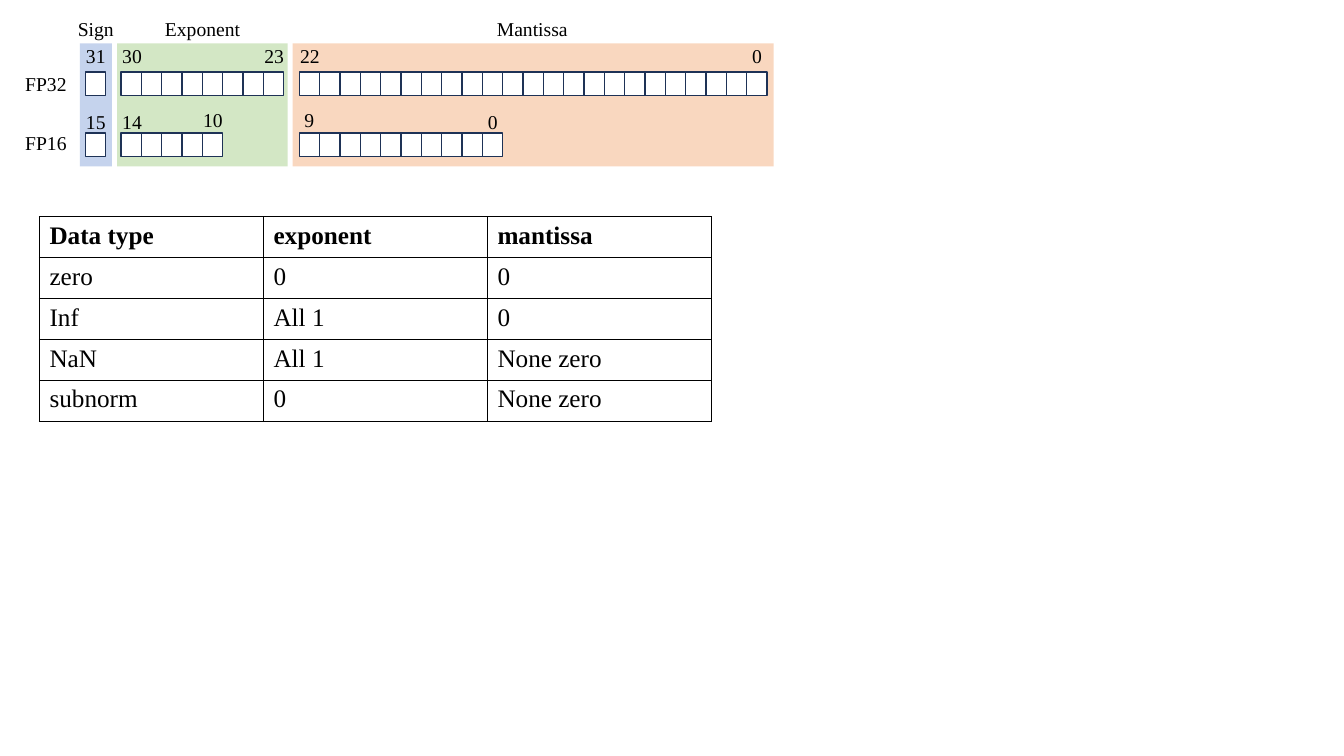
from dataclasses import dataclass

import pptx
import pptx.dml.color
import pptx.enum.shapes
import pptx.enum.text
import pptx.oxml
import pptx.oxml.ns
import pptx.util

Pt = pptx.util.Pt
RGBColor = pptx.dml.color.RGBColor

BLACK = RGBColor(0x00, 0x00, 0x00)
WHITE = RGBColor(0xFF, 0xFF, 0xFF)
NAVY = RGBColor(0x1E, 0x32, 0x56)
ORANGE = RGBColor(0xF4, 0xB1, 0x83)
GREEN = RGBColor(0xA9, 0xD1, 0x8E)
BLUE = RGBColor(0x8F, 0xAA, 0xDC)

FONT = "Times New Roman"
PITCH = 14.53  # distance from one bit box to the next
BIT_W, BIT_H = 14.5, 16.8
BAND_TOP, BAND_H = 31, 87.8


@dataclass
class Band:
    left: float
    width: float
    color: RGBColor


@dataclass
class Bits:
    left: float
    top: float
    count: int


@dataclass
class Label:
    text: str
    left: float
    top: float
    width: float = 31.7


BANDS = [
    Band(209, 343.6, ORANGE),
    Band(83.6, 121.8, GREEN),
    Band(57, 23, BLUE),
]

FIELDS = [
    Bits(61.1, 51.5, 1),
    Bits(86.5, 51.5, 8),
    Bits(213.8, 51.4, 23),
    Bits(61.1, 95, 1),
    Bits(86.5, 95, 5),
    Bits(213.8, 95, 10),
]

LABELS = [
    Label("Sign", 47.5, 11.8, 41.8),
    Label("Exponent", 109.4, 12.4, 70.6),
    Label("Mantissa", 344.9, 12.4, 70.6),
    Label("FP32", 9.4, 51.2, 46.8),
    Label("FP16", 9.4, 93.8, 46.8),
    Label("31", 52.6, 31.5),
    Label("30", 78.5, 31),
    Label("23", 180, 31),
    Label("22", 205.5, 31),
    Label("0", 533.5, 31, 14.5),
    Label("15", 52.6, 78.6),
    Label("14", 78.5, 78.6),
    Label("10", 136.2, 77.2),
    Label("9", 205.2, 77.2),
    Label("0", 336.2, 78.6),
]

ROWS = [
    ["Data type", "exponent", "mantissa"],
    ["zero", "0", "0"],
    ["Inf", "All 1", "0"],
    ["NaN", "All 1", "None zero"],
    ["subnorm", "0", "None zero"],
]


def add_rect(slide, left: float, top: float, width: float, height: float,
             color: RGBColor):
    rect = slide.shapes.add_shape(
        pptx.enum.shapes.MSO_SHAPE.RECTANGLE,
        Pt(left), Pt(top), Pt(width), Pt(height))
    rect.shadow.inherit = False
    rect.fill.solid()
    rect.fill.fore_color.rgb = color
    return rect


def add_band(slide, band: Band) -> None:
    rect = add_rect(slide, band.left, BAND_TOP, band.width, BAND_H, band.color)
    rect.line.fill.background()
    color = rect.fill._xPr.find(".//" + pptx.oxml.ns.qn("a:srgbClr"))
    color.append(pptx.oxml.parse_xml(
        f'<a:alpha {pptx.oxml.ns.nsdecls("a")} val="51000"/>'))


def add_bits(slide, bits: Bits) -> None:
    for index in range(bits.count):
        left = bits.left + index * PITCH
        box = add_rect(slide, left, bits.top, BIT_W, BIT_H, WHITE)
        box.line.color.rgb = NAVY
        box.line.width = Pt(1)


def add_run(para, text: str, size: float, bold: bool = False) -> None:
    run = para.add_run()
    run.text = text
    run.font.name = FONT
    run.font.size = Pt(size)
    run.font.bold = bold
    run.font.color.rgb = BLACK


def add_label(slide, label: Label) -> None:
    box = slide.shapes.add_textbox(
        Pt(label.left), Pt(label.top), Pt(label.width), Pt(BIT_H))
    frame = box.text_frame
    frame.margin_left = frame.margin_right = 0
    frame.margin_top = frame.margin_bottom = 0
    frame.word_wrap = True
    frame.vertical_anchor = pptx.enum.text.MSO_ANCHOR.MIDDLE
    para = frame.paragraphs[0]
    para.alignment = pptx.enum.text.PP_ALIGN.CENTER
    add_run(para, label.text, 14)


def add_edges(cell) -> None:
    """Give a table cell a thin black border on all four sides."""
    props = cell._tc.get_or_add_tcPr()
    for side in ("lnL", "lnR", "lnT", "lnB"):
        props.append(pptx.oxml.parse_xml(
            f'<a:{side} {pptx.oxml.ns.nsdecls("a")} w="{Pt(1)}">'
            f'<a:solidFill><a:srgbClr val="{BLACK}"/></a:solidFill>'
            f'</a:{side}>'))


def add_grid(slide, rows: list[list[str]]) -> None:
    table = slide.shapes.add_table(
        len(rows), len(rows[0]),
        Pt(28.2), Pt(154.9), Pt(480), Pt(146)).table
    table.first_row = False
    table.horz_banding = False
    for column in table.columns:
        column.width = Pt(160)
    for y, texts in enumerate(rows):
        table.rows[y].height = Pt(29.2)
        for x, text in enumerate(texts):
            cell = table.cell(y, x)
            add_edges(cell)
            cell.fill.background()
            add_run(cell.text_frame.paragraphs[0], text, 18, bold=y == 0)


def main() -> None:
    deck = pptx.Presentation()
    deck.slide_width, deck.slide_height = Pt(960), Pt(540)
    slide = deck.slides.add_slide(deck.slide_layouts[6])
    for band in BANDS:
        add_band(slide, band)
    for bits in FIELDS:
        add_bits(slide, bits)
    for label in LABELS:
        add_label(slide, label)
    add_grid(slide, ROWS)
    deck.save("out.pptx")


if __name__ == "__main__":
    main()
